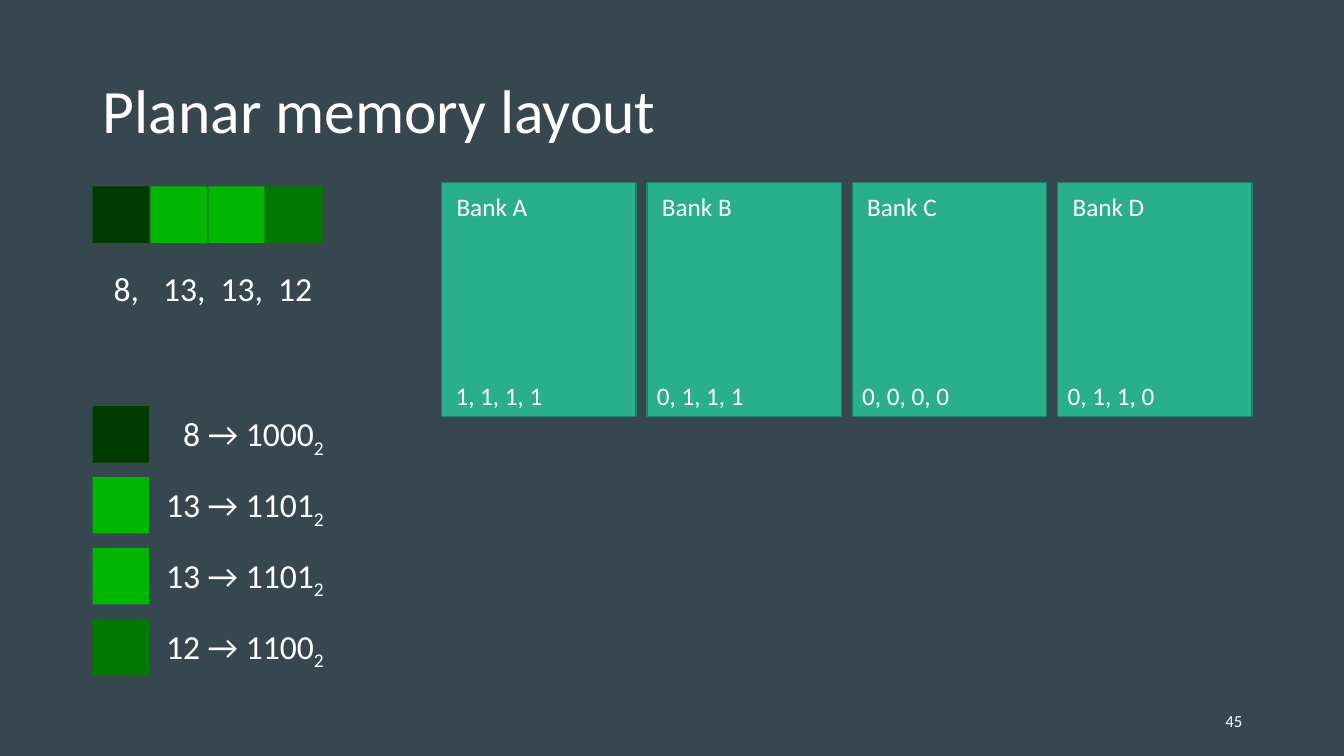
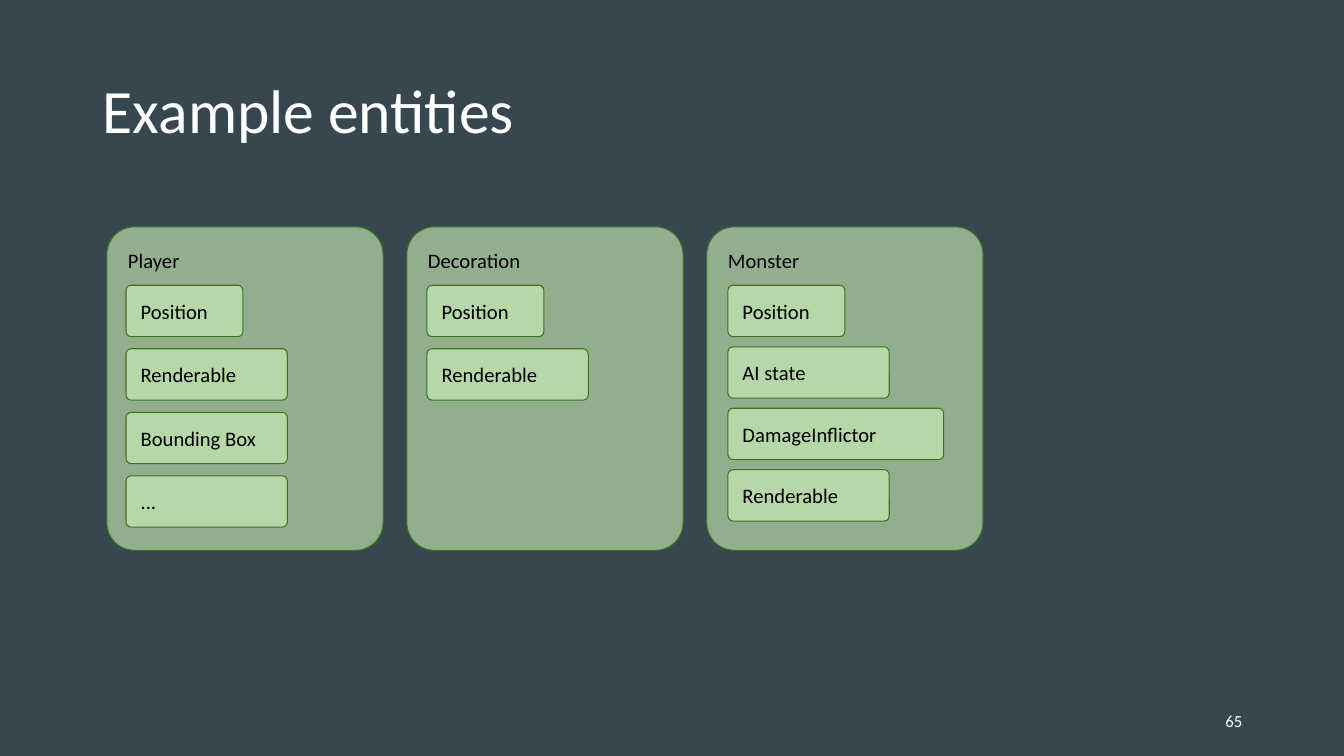
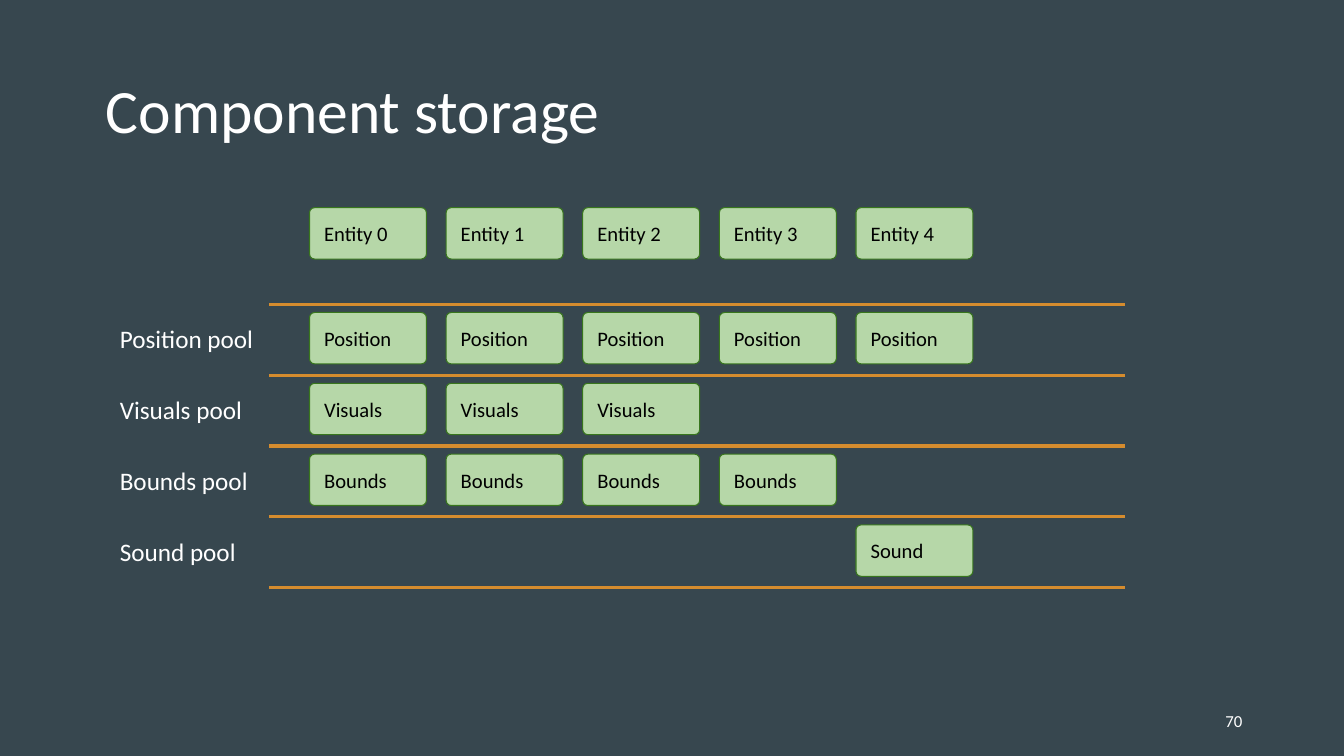
"""Three slides on planar memory, example entities and component storage."""
import dataclasses

import lxml.etree
import pptx
import pptx.dml.color
import pptx.enum.shapes
import pptx.enum.text
import pptx.oxml.ns
import pptx.util

Inches = pptx.util.Inches
qn = pptx.oxml.ns.qn
SHAPE = pptx.enum.shapes.MSO_SHAPE
ANCHOR = pptx.enum.text.MSO_ANCHOR
ALIGN = pptx.enum.text.PP_ALIGN


@dataclasses.dataclass(frozen=True)
class Theme:
    font: str = "Calibri"
    background: str = "37474F"
    light: str = "FFFFFF"
    dark: str = "000000"
    bank: str = "29AF8C"
    bank_line: str = "1E8168"
    chip: str = "B6D7A8"
    chip_line: str = "38761D"
    rule: str = "D58C2E"
    title_size: float = 44
    value_size: float = 24
    label_size: float = 18
    chip_size: float = 14.7
    number_size: float = 12
    chip_inset: float = 0.13
    panel_alpha: int = 72


THEME = Theme()

PIXELS = [
    ("8", "1000", "003C00"),
    ("13", "1101", "00B600"),
    ("13", "1101", "00B600"),
    ("12", "1100", "007900"),
]
BANKS = [
    ("Bank A", "1, 1, 1, 1", 0.04),
    ("Bank B", "0, 1, 1, 1", 0),
    ("Bank C", "0, 0, 0, 0", 0),
    ("Bank D", "0, 1, 1, 0", 0),
]
SMALL, MEDIUM, LARGE = 1.16, 1.6, 2.14
ENTITIES = [
    ("Player", 0.63, [("Position", SMALL), ("Renderable", MEDIUM),
                      ("Bounding Box", MEDIUM), ("...", MEDIUM)]),
    ("Decoration", 0.63, [("Position", SMALL), ("Renderable", MEDIUM)]),
    ("Monster", 0.61, [("Position", SMALL), ("AI state", MEDIUM),
                       ("DamageInflictor", LARGE), ("Renderable", MEDIUM)]),
]
ENTITY_COUNT = 5
POOLS = [
    ("Position", [0, 1, 2, 3, 4]),
    ("Visuals", [0, 1, 2]),
    ("Bounds", [0, 1, 2, 3]),
    ("Sound", [4]),
]


def rgb(color):
    return pptx.dml.color.RGBColor.from_string(color)


def add_span(para, text, size, color):
    span = para.add_run()
    span.text = text
    span.font.name = THEME.font
    span.font.size = pptx.util.Pt(size)
    span.font.color.rgb = rgb(color)
    return span


def add_text(page, at, text, size, align=ALIGN.LEFT, anchor=ANCHOR.TOP):
    box = page.shapes.add_textbox(*map(Inches, at))
    box.text_frame.word_wrap = True
    box.text_frame.vertical_anchor = anchor
    para = box.text_frame.paragraphs[0]
    para.alignment = align
    add_span(para, text, size, THEME.light)
    return para


def add_block(shapes, kind, at, fill, line=None, width=1):
    block = shapes.add_shape(kind, *map(Inches, at))
    block.shadow.inherit = False
    block.fill.solid()
    block.fill.fore_color.rgb = rgb(fill)
    if line:
        block.line.color.rgb = rgb(line)
        block.line.width = pptx.util.Pt(width)
    else:
        block.line.fill.background()
    return block


def set_insets(frame):
    inset = Inches(THEME.chip_inset)
    frame.margin_left = frame.margin_right = inset
    frame.margin_top = frame.margin_bottom = inset


def add_chip(shapes, at, text, anchor=ANCHOR.MIDDLE):
    chip = add_block(shapes, SHAPE.ROUNDED_RECTANGLE, at,
                     THEME.chip, THEME.chip_line, 0.75)
    chip.adjustments[0] = 0.1
    frame = chip.text_frame
    set_insets(frame)
    frame.vertical_anchor = anchor
    frame.paragraphs[0].alignment = ALIGN.LEFT
    add_span(frame.paragraphs[0], text, THEME.chip_size, THEME.dark)
    return chip


def add_panel(shapes, at, text):
    panel = add_chip(shapes, at, text, ANCHOR.TOP)
    color = panel._element.spPr.find(qn("a:solidFill")).find(qn("a:srgbClr"))
    alpha = lxml.etree.SubElement(color, qn("a:alpha"))
    alpha.set("val", str(THEME.panel_alpha * 1000))


def add_rule(page, left, right, top):
    rule = page.shapes.add_connector(
        pptx.enum.shapes.MSO_CONNECTOR.STRAIGHT,
        *map(Inches, (left, top, right, top)))
    rule.line.color.rgb = rgb(THEME.rule)
    rule.line.width = pptx.util.Pt(2.25)
    lxml.etree.SubElement(rule._element.spPr, qn("a:effectLst"))


def add_tabs(para, stops):
    tabs = lxml.etree.SubElement(para._p.get_or_add_pPr(), qn("a:tabLst"))
    for stop in stops:
        tab = lxml.etree.SubElement(tabs, qn("a:tab"))
        tab.set("pos", str(Inches(stop)))
        tab.set("algn", "l")


def start_deck():
    deck = pptx.Presentation()
    deck.slide_width, deck.slide_height = Inches(13.33), Inches(7.5)
    fill = deck.slide_master.background.fill
    fill.solid()
    fill.fore_color.rgb = rgb(THEME.background)
    return deck


def add_page(deck, title, number):
    page = deck.slides.add_slide(deck.slide_layouts.get_by_name("Title Only"))
    box = page.shapes.title
    box.left, box.top, box.width, box.height = map(Inches, (0.92, 0.4, 11.5, 1.45))
    frame = box.text_frame
    frame.word_wrap = True
    frame.auto_size = pptx.enum.text.MSO_AUTO_SIZE.NONE
    frame.vertical_anchor = ANCHOR.MIDDLE
    para = frame.paragraphs[0]
    para.alignment = ALIGN.LEFT
    para.line_spacing = 0.9
    add_span(para, title, THEME.title_size, THEME.light)
    add_text(page, (9.42, 6.95, 3, 0.4), str(number), THEME.number_size,
             ALIGN.RIGHT, ANCHOR.MIDDLE)
    return page


def build_memory(deck):
    page = add_page(deck, "Planar memory layout", 45)
    left, side = 0.92, 0.56
    column_pitch, row_pitch = 1.72 / 3, 2.11 / 3
    for index, (value, bits, color) in enumerate(PIXELS):
        row = 4.03 + index * row_pitch
        for x, y in ((left + index * column_pitch, 1.85), (left, row)):
            add_block(page.shapes, SHAPE.RECTANGLE, (x, y, side, side), color)
        para = add_text(page, (1.4, row + 0.02, 1.91, 0.5), f"{value} → {bits}",
                        THEME.value_size, ALIGN.RIGHT)
        base = add_span(para, "2", THEME.value_size, THEME.light)
        base._r.get_or_add_rPr().set("baseline", "-25000")
    values = ",\t".join(value for value, _, _ in PIXELS)
    para = add_text(page, (1.03, 2.61, 2.3, 0.5), values, THEME.value_size)
    add_tabs(para, [0.49 + index * 0.57 for index in range(3)])
    for index, (name, bits, inset) in enumerate(BANKS):
        x = 4.38 + index * 6.11 / 3
        add_block(page.shapes, SHAPE.RECTANGLE, (x, 1.81, 1.93, 2.32),
                  THEME.bank, THEME.bank_line)
        add_text(page, (x + 0.05, 1.85, 1.2, 0.4), name, THEME.label_size)
        add_text(page, (x + inset, 3.72, 1.2, 0.4), bits, THEME.label_size)


def build_entities(deck):
    page = add_page(deck, "Example entities", 65)
    for index, (name, pitch, components) in enumerate(ENTITIES):
        group = page.shapes.add_group_shape()
        add_panel(group.shapes, (1.06 + index * 5.95 / 2, 2.25, 2.74, 3.21), name)
        for row, (component, width) in enumerate(components):
            at = (1.25 + index * 5.97 / 2, 2.83 + row * pitch, width, 0.51)
            add_chip(group.shapes, at, component)


def build_storage(deck):
    page = add_page(deck, "Component storage", 70)
    set_insets(page.shapes.title.text_frame)
    row_pitch = 2.81 / 4
    columns = [3.07 + index * 5.42 / 4 for index in range(ENTITY_COUNT)]
    for index, x in enumerate(columns):
        add_chip(page.shapes, (x, 2.06, SMALL, 0.51), f"Entity {index}")
    for row in range(len(POOLS) + 1):
        add_rule(page, 2.67, 11.16, 3.02 + row * row_pitch)
    for row, (name, owners) in enumerate(POOLS):
        y = 3.1 + row * row_pitch
        add_text(page, (1.09, y + 0.06, 1.6, 0.4), f"{name} pool", THEME.label_size)
        for owner in owners:
            add_chip(page.shapes, (columns[owner], y, SMALL, 0.51), name)


def main():
    deck = start_deck()
    build_memory(deck)
    build_entities(deck)
    build_storage(deck)
    deck.save("out.pptx")


if __name__ == "__main__":
    main()
